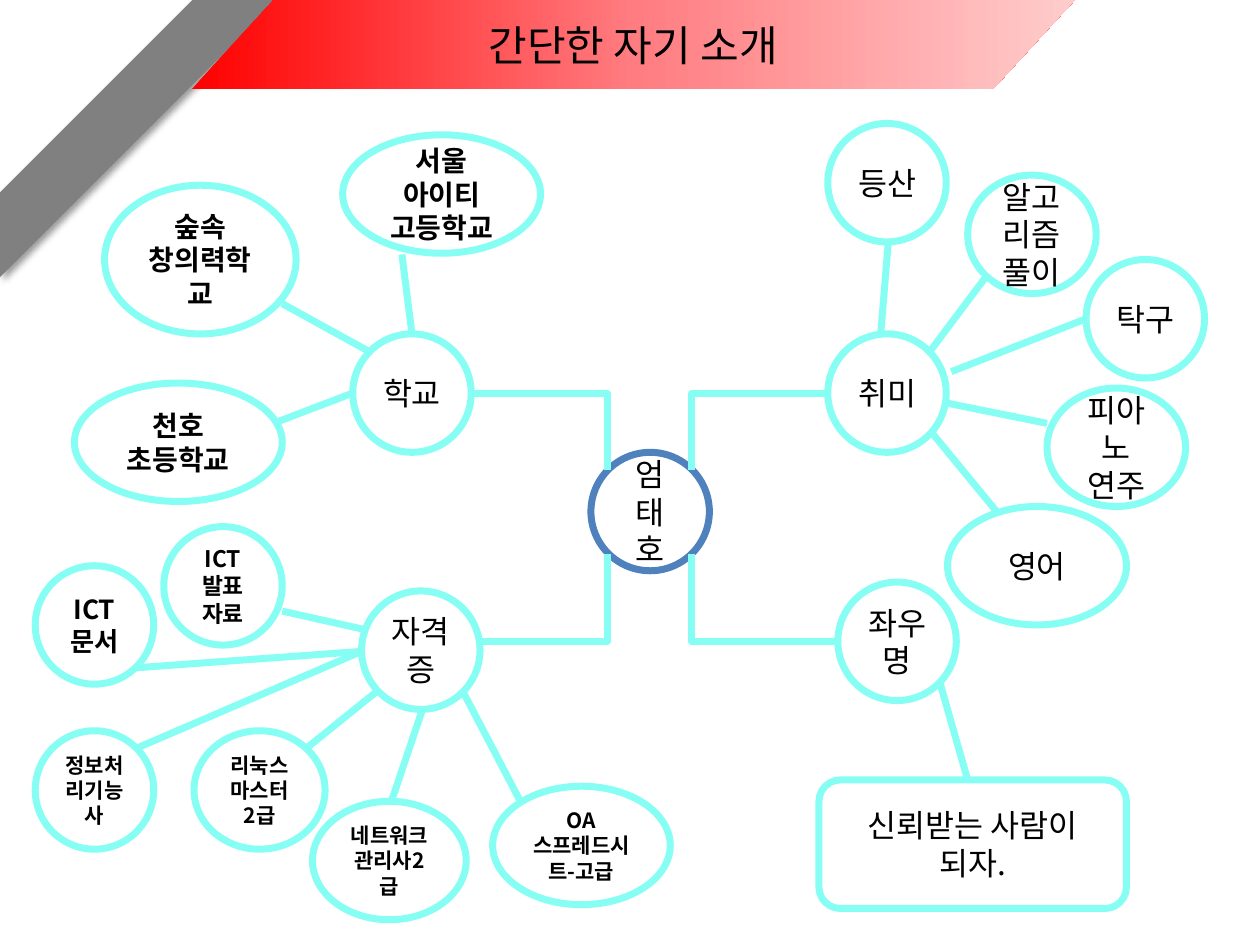
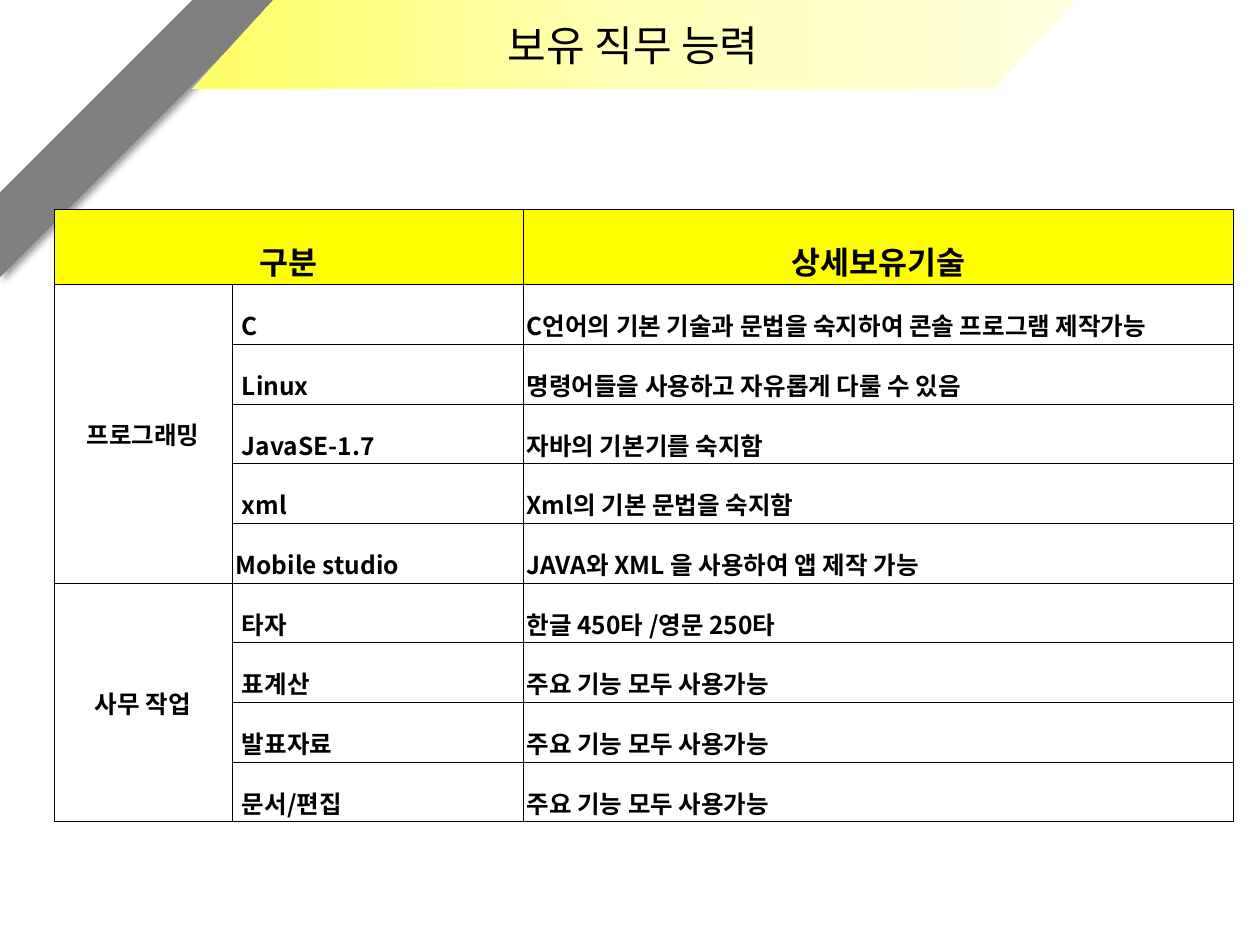
from dataclasses import dataclass

import pptx
import pptx.dml.color
import pptx.enum.shapes
import pptx.enum.text
import pptx.oxml
import pptx.oxml.ns
import pptx.util

Inches, Pt = pptx.util.Inches, pptx.util.Pt
Shape = pptx.enum.shapes.MSO_SHAPE
Link = pptx.enum.shapes.MSO_CONNECTOR
Align = pptx.enum.text.PP_ALIGN
MIDDLE = pptx.enum.text.MSO_ANCHOR.MIDDLE
NS = pptx.oxml.ns.nsdecls("a")


@dataclass(frozen=True)
class Theme:
    font: str = "Noto Sans CJK KR"
    text: str = "000000"
    stripe: str = "808080"
    hub: str = "4F81BD"
    branch: str = "86FEF3"
    header: str = "FFFF00"
    red_band: tuple = ("FF0000", "FF7C80", "FFCCCC")
    yellow_band: tuple = ("FFFF66", "FFFFB7", "FFFFDD")
    title_size: int = 24
    topic_size: int = 18
    school_size: int = 16
    cell_size: int = 14
    small_size: int = 12
    outline: float = 4
    border: float = 0.28


THEME = Theme()
NODE = 0.94  # height of every ellipse but one, and the width of the round ones

# Text lines, left, top, width, height
HUB = (["엄", "태", "호"], 4.69, 3.59, NODE, NODE)
TOPICS = [
    (["학교"], 2.8, 2.65, NODE, NODE),
    (["취미"], 6.57, 2.65, NODE, NODE),
    (["자격증"], 2.87, 4.69, NODE, NODE),
    (["좌우명"], 6.65, 4.62, NODE, NODE),
]
HOBBIES = [
    (["등산"], 6.57, 0.98, NODE, NODE),
    (["알고리즘 풀이"], 7.68, 1.39, 1.02, NODE),
    (["탁구"], 8.62, 2.06, NODE, NODE),
    (["피아노", "연주"], 8.31, 3.08, 1.1, NODE),
    (["영어"], 7.52, 4.02, 1.42, NODE),
]
SCHOOLS = [
    (["서울", "아이티", "고등학교"], 2.72, 1.07, 1.57, NODE),
    (["숲속", "창의력학교"], 0.83, 1.47, 1.52, 1.18),
    (["천호", "초등학교"], 0.59, 3.04, 1.65, NODE),
]
CERTIFICATES = [
    (["네트워크관리사2급"], 2.48, 6.36, 1.22, NODE),
    (["리눅스", "마스터2급"], 1.54, 5.8, 1.04, NODE),
    (["정보처리기능사"], 0.28, 5.8, NODE, NODE),
    (["OA", "스프레드시트-고급"], 3.91, 6.24, 1.41, NODE),
]
WORD_CERTIFICATE = (["ICT", "문서"], 0.28, 4.49, NODE, NODE)
SLIDE_CERTIFICATE = (["ICT", "발표자료"], 1.3, 4.18, NODE, NODE)
MOTTO = (["신뢰받는 사람이 되자."], 6.5, 6.19, 2.44, 1.02)

# From x, y to x, y; a trunk runs sideways first, then up or down to the hub
TRUNKS = [
    (3.74, 3.12, 4.82, 3.73),
    (6.57, 3.12, 5.49, 3.73),
    (3.82, 5.09, 4.82, 4.4),
    (6.65, 5.09, 5.49, 4.4),
]
TWIGS = [
    (3.19, 2.02, 3.27, 2.65), (2.93, 2.79, 2.24, 2.41), (2.8, 3.12, 2.17, 3.36),
    (6.99, 2.65, 7.05, 1.92), (7.38, 2.79, 7.83, 2.19), (7.55, 2.95, 8.62, 2.53),
    (7.52, 3.2, 8.31, 3.36), (7.4, 3.44, 7.91, 4.06), (7.46, 5.42, 7.68, 6.19),
    (2.91, 5, 2.24, 4.85), (2.87, 5.17, 1.08, 5.3), (2.87, 5.17, 1.08, 5.94),
    (3, 5.48, 2.43, 5.94), (3.35, 5.64, 3.11, 6.35), (3.68, 5.5, 4.13, 6.36),
]

SKILL_HEADERS = ("구분", "상세보유기술")
FLUSH_SKILL = "Mobile studio"  # the one skill name that is not indented
SKILLS = {
    "프로그래밍": [
        ("C", "C언어의 기본 기술과 문법을 숙지하여 콘솔 프로그램 제작가능"),
        ("Linux", "명령어들을 사용하고 자유롭게 다룰 수 있음"),
        ("JavaSE-1.7", "자바의 기본기를 숙지함"),
        ("xml", "Xml의 기본 문법을 숙지함"),
        (FLUSH_SKILL, "JAVA와 XML 을 사용하여 앱 제작 가능"),
    ],
    "사무 작업": [
        ("타자", "한글 450타 /영문 250타"),
        ("표계산", "주요 기능 모두 사용가능"),
        ("발표자료", "주요 기능 모두 사용가능"),
        ("문서/편집", "주요 기능 모두 사용가능"),
    ],
}
SKILL_COLUMNS = (1.41, 2.31, 5.64)
SKILL_ROWS = (0.48, 0.41, 0.44, 0.41, 0.45, 0.41, 0.41, 0.41, 0.41, 0.41)


def rgb(value):
    return pptx.dml.color.RGBColor.from_string(value)


def write(frame, lines, size, bold=False, align=Align.CENTER, spacing=None):
    frame.word_wrap = True
    frame.text = "\n".join(lines)
    for para in frame.paragraphs:
        para.alignment = align
        if spacing:
            para.line_spacing = spacing
        font = para.font
        font.size, font.bold, font.name = Pt(size), bold, THEME.font
        font.color.rgb = rgb(THEME.text)
        east_asian = f'<a:ea {NS} typeface="{THEME.font}"/>'
        font._element.append(pptx.oxml.parse_xml(east_asian))


def add_outline(page, kind, left, top, width, height):
    shape = page.shapes.add_shape(
        kind, Inches(left), Inches(top), Inches(width), Inches(height))
    shape.shadow.inherit = False
    return shape


def add_page(deck, title_text, band_colors):
    """Add a slide with the corner stripe, the gradient band and its title."""
    page = deck.slides.add_slide(deck.slide_layouts[5])
    band_place = (1.52, 0, 7.01, 0.71)

    stripe = add_outline(page, Shape.DIAGONAL_STRIPE, 0, 0, 2.2, 2.2)
    stripe.adjustments[0] = 0.694
    stripe.fill.solid()
    stripe.fill.fore_color.rgb = rgb(THEME.stripe)
    stripe.line.fill.background()
    effects = stripe._element.spPr.find(pptx.oxml.ns.qn("a:effectLst"))
    effects.append(pptx.oxml.parse_xml(
        f'<a:outerShdw {NS} blurRad="{Pt(4)}" dist="{Pt(3)}" dir="2700000" '
        'algn="tl" rotWithShape="0"><a:srgbClr val="000000">'
        '<a:alpha val="40000"/></a:srgbClr></a:outerShdw>'))

    band = add_outline(page, Shape.PARALLELOGRAM, *band_place)
    band.adjustments[0] = 0.918
    band.line.fill.background()
    stops = "".join(
        f'<a:gs pos="{index * 50000}"><a:srgbClr val="{color}"/></a:gs>'
        for index, color in enumerate(band_colors))
    band._element.spPr.insert(2, pptx.oxml.parse_xml(
        f'<a:gradFill {NS} rotWithShape="1"><a:gsLst>{stops}</a:gsLst>'
        '<a:lin ang="0" scaled="1"/></a:gradFill>'))

    title = page.shapes.title
    title.left, title.top, title.width, title.height = map(Inches, band_place)
    title.text_frame.vertical_anchor = MIDDLE
    write(title.text_frame, [title_text], THEME.title_size)
    band._element.addnext(title._element)
    return page


def add_node(page, node, size, bold=False, color=THEME.branch, kind=Shape.OVAL):
    lines, *place = node
    shape = add_outline(page, kind, *place)
    shape.fill.background()
    shape.line.color.rgb = rgb(color)
    shape.line.width = Pt(THEME.outline)
    shape.text_frame.vertical_anchor = MIDDLE
    write(shape.text_frame, lines, size, bold)


def add_link(page, ends, kind=Link.STRAIGHT):
    link = page.shapes.add_connector(kind, *map(Inches, ends))
    link.line.color.rgb = rgb(THEME.branch)
    link.line.width = Pt(THEME.outline)
    properties = link._element.spPr
    properties.append(pptx.oxml.parse_xml(f"<a:effectLst {NS}/>"))
    if kind == Link.ELBOW:
        properties.find(pptx.oxml.ns.qn("a:prstGeom")).set("prst", "bentConnector2")


def build_mind_map(deck):
    page = add_page(deck, "간단한 자기 소개", THEME.red_band)
    add_node(page, HUB, THEME.topic_size, color=THEME.hub)
    for node in TOPICS + HOBBIES:
        add_node(page, node, THEME.topic_size)
    for node in SCHOOLS:
        add_node(page, node, THEME.school_size, bold=True)
    for node in CERTIFICATES:
        add_node(page, node, THEME.small_size, bold=True)
    add_node(page, WORD_CERTIFICATE, 15, bold=True)
    add_node(page, SLIDE_CERTIFICATE, 13, bold=True)
    add_node(page, MOTTO, THEME.topic_size, kind=Shape.ROUNDED_RECTANGLE)
    for ends in TRUNKS:
        add_link(page, ends, Link.ELBOW)
    for ends in TWIGS:
        add_link(page, ends)


def format_cell(cell, fill=None):
    cell.vertical_anchor = MIDDLE
    cell.margin_left = cell.margin_right = Inches(0.03)
    cell.margin_top = cell.margin_bottom = Inches(0.01)
    if fill:
        cell.fill.solid()
        cell.fill.fore_color.rgb = rgb(fill)
    else:
        cell.fill.background()
    properties = cell._tc.get_or_add_tcPr()
    for index, side in enumerate(("lnL", "lnR", "lnT", "lnB")):
        properties.insert(index, pptx.oxml.parse_xml(
            f'<a:{side} {NS} w="{Pt(THEME.border)}"><a:solidFill>'
            f'<a:srgbClr val="{THEME.text}"/></a:solidFill></a:{side}>'))


def build_skills(deck):
    page = add_page(deck, "보유 직무 능력", THEME.yellow_band)
    table = page.shapes.add_table(
        len(SKILL_ROWS), len(SKILL_COLUMNS), Inches(0.43), Inches(1.66),
        Inches(sum(SKILL_COLUMNS)), Inches(sum(SKILL_ROWS))).table
    table.first_row = table.horz_banding = False
    for column, width in zip(table.columns, SKILL_COLUMNS):
        column.width = Inches(width)
    for row_index, (row, height) in enumerate(zip(table.rows, SKILL_ROWS)):
        row.height = Inches(height)
        for cell in row.cells:
            format_cell(cell, THEME.header if row_index == 0 else None)

    table.cell(0, 0).merge(table.cell(0, 1))
    for column, header in zip((0, 2), SKILL_HEADERS):
        write(table.cell(0, column).text_frame, [header], THEME.topic_size,
              bold=True, spacing=1.6)

    row = 1
    for group, skills in SKILLS.items():
        group_cell = table.cell(row, 0)
        group_cell.merge(table.cell(row + len(skills) - 1, 0))
        write(group_cell.text_frame, [group], THEME.cell_size, bold=True)
        for skill in skills:
            for column, text in enumerate(skill, start=1):
                write(table.cell(row, column).text_frame, [text], THEME.cell_size,
                      bold=True, align=Align.LEFT, spacing=1.6)
            if skill[0] != FLUSH_SKILL:
                table.cell(row, 1).margin_left = Inches(0.08)
            row += 1


def main():
    deck = pptx.Presentation()
    deck.slide_width, deck.slide_height = Inches(10), Inches(7.5)
    build_mind_map(deck)
    build_skills(deck)
    deck.save("out.pptx")


if __name__ == "__main__":
    main()
